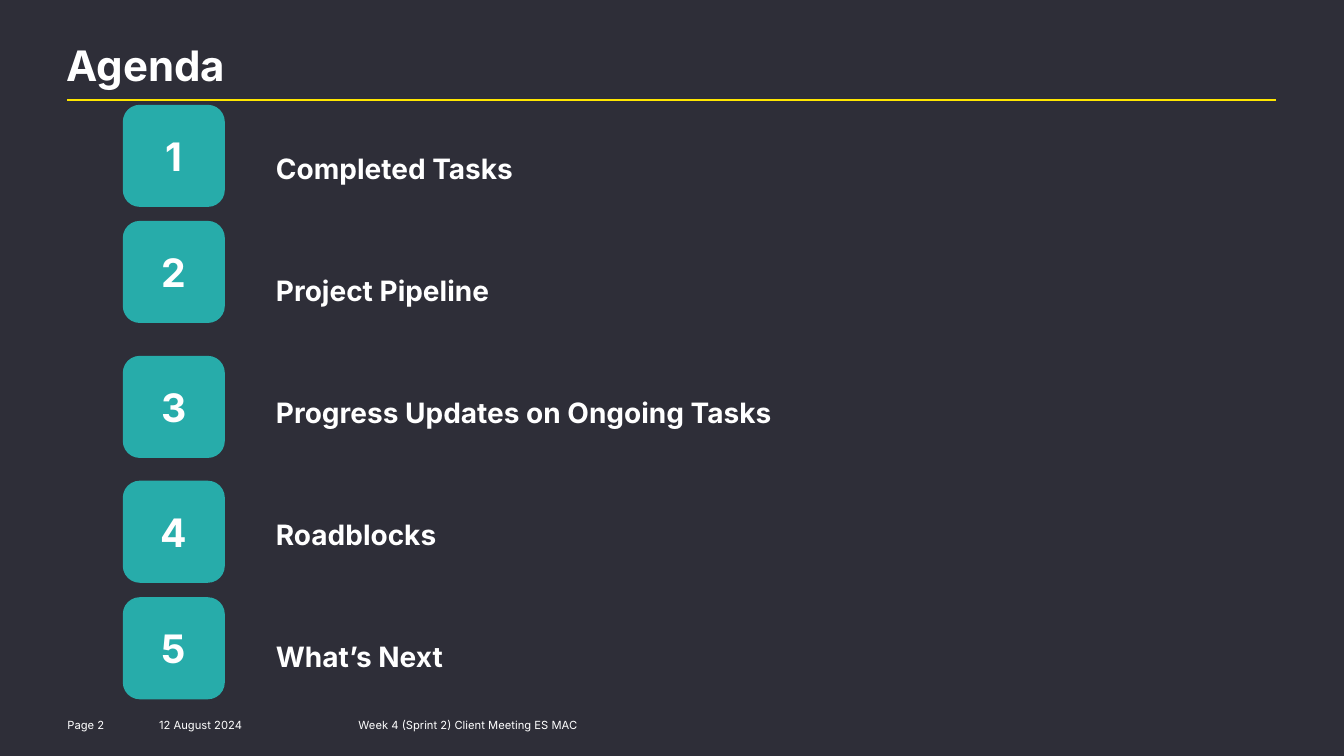
from pptx import Presentation
from pptx.dml.color import RGBColor
from pptx.enum.shapes import MSO_CONNECTOR, MSO_SHAPE
from pptx.enum.text import MSO_ANCHOR, MSO_AUTO_SIZE, PP_ALIGN
from pptx.oxml.ns import qn
from pptx.util import Pt
from lxml import etree

BACKGROUND = RGBColor(0x2E, 0x2E, 0x38)
WHITE = RGBColor(0xFF, 0xFF, 0xFF)
YELLOW = RGBColor(0xFF, 0xE6, 0x00)
TEAL = RGBColor(0x27, 0xAC, 0xAA)

MARGIN_LEFT = 48.2
TILE_SIZE = 72.9
LABEL_TOP, LABEL_PITCH = 100.8, 87.15


def write(shape, text, size, insets, bold=True, anchor=MSO_ANCHOR.TOP, align=PP_ALIGN.LEFT):
    frame = shape.text_frame
    frame.word_wrap = True
    frame.auto_size = MSO_AUTO_SIZE.NONE
    frame.vertical_anchor = anchor
    (frame.margin_left, frame.margin_top,
     frame.margin_right, frame.margin_bottom) = map(Pt, insets)
    frame.text = text
    paragraph = frame.paragraphs[0]
    paragraph.alignment = align
    font = paragraph.font
    font.name, font.size, font.bold = "Inter", Pt(size), bold
    font.color.rgb = WHITE
    return paragraph


presentation = Presentation()
presentation.slide_width, presentation.slide_height = Pt(960.5), Pt(540)
slide = presentation.slides.add_slide(presentation.slide_layouts[5])
slide.background.fill.solid()
slide.background.fill.fore_color.rgb = BACKGROUND

# Title
title = slide.shapes.title
title.left, title.top, title.width, title.height = Pt(47.6), Pt(31), Pt(181), Pt(34)
write(title, "Agenda", 30, (0, 2.9, 0, 0)).line_spacing = 0.85

# Rule under the title
rule = slide.shapes.add_connector(
    MSO_CONNECTOR.STRAIGHT, Pt(MARGIN_LEFT), Pt(71.3), Pt(912.2), Pt(71.3))
rule.line.color.rgb = YELLOW
rule.line.width = Pt(1.5)
etree.SubElement(rule.element.spPr, qn("a:effectLst"))

# Numbered tiles and agenda items
agenda = [
    ("Completed Tasks", 74.9),
    ("Project Pipeline", 157.8),
    ("Progress Updates on Ongoing Tasks", 254.2),
    ("Roadblocks", 343.4),
    ("What’s Next", 426.6),
]
for index, (item, tile_top) in enumerate(agenda):
    tile = slide.shapes.add_shape(
        MSO_SHAPE.ROUNDED_RECTANGLE, Pt(87.8), Pt(tile_top), Pt(TILE_SIZE), Pt(TILE_SIZE))
    tile.shadow.inherit = False
    tile.fill.solid()
    tile.fill.fore_color.rgb = TEAL
    tile.line.fill.background()
    write(tile, str(index + 1), 28, (7.2,) * 4,
          anchor=MSO_ANCHOR.MIDDLE, align=PP_ALIGN.CENTER)

    label = slide.shapes.add_textbox(
        Pt(190.1), Pt(LABEL_TOP + index * LABEL_PITCH), Pt(437.8), Pt(38.9))
    write(label, item, 20, (7.2,) * 4)

# Footer
footer = [
    ("Page 2", MARGIN_LEFT, 52.6, 0),
    ("12 August 2024", 106.6, 93.6, 7.2),
    ("Week 4 (Sprint 2) Client Meeting ES MAC", 249.1, 243.4, 7.2),
]
for text, left, width, left_inset in footer:
    box = slide.shapes.add_textbox(Pt(left), Pt(509.8), Pt(width), Pt(14.4))
    write(box, text, 8, (left_inset, 3.6, 7.2, 3.6), bold=False)

presentation.save("out.pptx")
